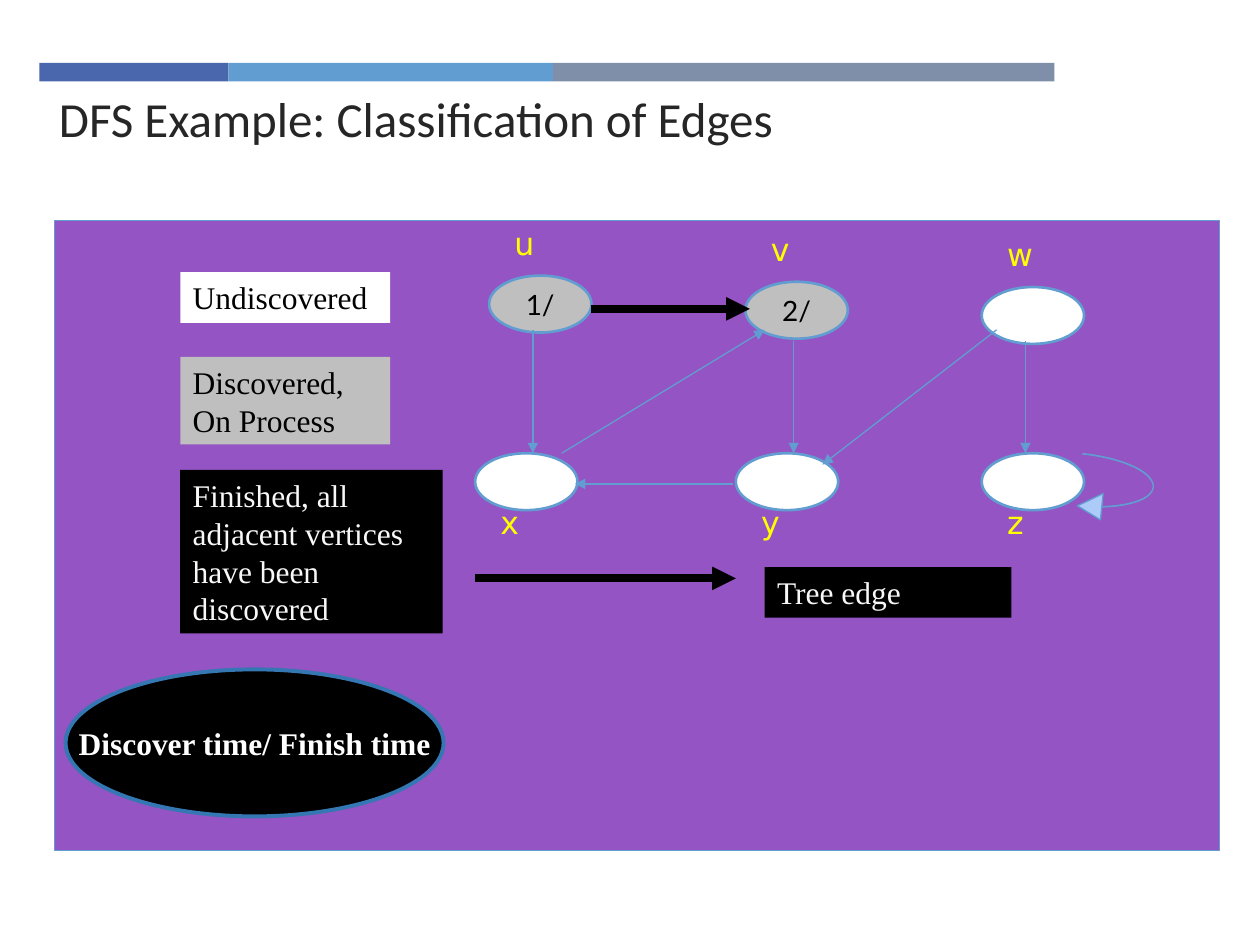
from dataclasses import dataclass

from lxml import etree
from pptx import Presentation
from pptx.dml.color import RGBColor
from pptx.enum.shapes import MSO_CONNECTOR, MSO_SHAPE
from pptx.enum.text import MSO_ANCHOR, MSO_AUTO_SIZE, PP_ALIGN
from pptx.oxml.ns import qn
from pptx.util import Pt

RECTANGLE = MSO_SHAPE.RECTANGLE
ELLIPSE = MSO_SHAPE.OVAL
CURVED_ARROW = MSO_SHAPE.CURVED_DOWN_ARROW
STRAIGHT = MSO_CONNECTOR.STRAIGHT
TOP, MIDDLE = MSO_ANCHOR.TOP, MSO_ANCHOR.MIDDLE
LEFT, CENTER = PP_ALIGN.LEFT, PP_ALIGN.CENTER
NO_AUTOFIT = MSO_AUTO_SIZE.NONE

BLACK = RGBColor(0x00, 0x00, 0x00)
WHITE = RGBColor(0xFF, 0xFF, 0xFF)
OFF_WHITE = RGBColor(0xF8, 0xF8, 0xF8)
GRAY = RGBColor(0xBF, 0xBF, 0xBF)
CHARCOAL = RGBColor(0x26, 0x26, 0x26)
YELLOW = RGBColor(0xFF, 0xFF, 0x00)
PURPLE = RGBColor(0x94, 0x54, 0xC3)
INDIGO = RGBColor(0x4A, 0x66, 0xAC)
SKY = RGBColor(0x62, 0x9D, 0xD1)
SLATE = RGBColor(0x7F, 0x8F, 0xA9)
PALE_BLUE = RGBColor(0xAC, 0xCB, 0xF9)
DEEP_BLUE = RGBColor(0x34, 0x77, 0xB2)

NODE_WIDTH, NODE_HEIGHT = 58.5, 32.5
LABEL_HEIGHT = 29
LABEL_ABOVE, LABEL_BELOW = -33, 25


@dataclass(frozen=True)
class Vertex:
    name: str
    left: float
    top: float
    label_offset: float
    fill: RGBColor = WHITE
    times: str = ""


@dataclass(frozen=True)
class Edge:
    x1: float
    y1: float
    x2: float
    y2: float
    color: RGBColor = SKY
    weight: float = 0.75


@dataclass(frozen=True)
class Caption:
    words: str
    left: float
    top: float
    width: float
    height: float
    fill: RGBColor
    color: RGBColor


BANDS = [(22.5, 108, INDIGO), (130.5, 185.5, SKY), (316, 286.5, SLATE)]

VERTICES = [
    Vertex("x", 271.5, 259, LABEL_BELOW),
    Vertex("z", 561, 259, LABEL_BELOW),
    Vertex("y", 420.5, 259, LABEL_BELOW),
    Vertex("w", 561, 164, LABEL_ABOVE),
    Vertex("v", 426, 161, LABEL_ABOVE, GRAY, "2/"),
    Vertex("u", 279.5, 157.5, LABEL_ABOVE, GRAY, "1/"),
]

EDGES = [
    Edge(337.5, 176.5, 428.5, 176.5, BLACK, 4.5),
    Edge(419, 276.5, 328.5, 276.5),
    Edge(453.5, 195, 453.5, 259),
    Edge(304.5, 188.5, 304.5, 259),
    Edge(586, 195, 586, 259),
    Edge(569.5, 188.5, 470, 265.5),
    Edge(321, 259, 437, 188.5),
    Edge(271.5, 330.5, 420.5, 330.5, BLACK, 4.5),
]

CAPTIONS = [
    Caption("Tree edge", 437, 324, 141, 29, BLACK, OFF_WHITE),
    Caption("Undiscovered", 103, 155.5, 120, 29, WHITE, BLACK),
    Caption("Discovered, On Process", 103, 204, 120, 50, GRAY, BLACK),
    Caption("Finished, all adjacent vertices have been discovered",
            103, 268.5, 150, 93.5, BLACK, OFF_WHITE),
]


def write(shape, words: str, *, font: str, size: float, color: RGBColor,
          bold: bool = False, align=LEFT, anchor=TOP, wrap: bool = True,
          inset: float = 7.2) -> None:
    frame = shape.text_frame
    frame.auto_size = NO_AUTOFIT
    frame.word_wrap = wrap
    frame.vertical_anchor = anchor
    frame.margin_left = Pt(inset)
    paragraph = frame.paragraphs[0]
    paragraph.alignment = align
    run = paragraph.add_run()
    run.text = words
    run.font.name = font
    run.font.size = Pt(size)
    run.font.bold = bold
    run.font.color.rgb = color


def draw_shape(slide, kind, left: float, top: float, width: float, height: float,
               fill: RGBColor, outline: RGBColor | None = None, weight: float = 0.75):
    shape = slide.shapes.add_shape(kind, Pt(left), Pt(top), Pt(width), Pt(height))
    shape.shadow.inherit = False
    shape.fill.solid()
    shape.fill.fore_color.rgb = fill
    if outline is None:
        shape.line.fill.background()
    else:
        shape.line.color.rgb = outline
        shape.line.width = Pt(weight)
    return shape


def draw_vertex(slide, vertex: Vertex) -> None:
    node = draw_shape(slide, ELLIPSE, vertex.left, vertex.top,
                      NODE_WIDTH, NODE_HEIGHT, vertex.fill, SKY, 1.5)
    if vertex.times:
        write(node, vertex.times, font="Lato", size=16, color=BLACK,
              align=CENTER, anchor=MIDDLE, wrap=False)
    label = slide.shapes.add_textbox(
        Pt(vertex.left + 1.5), Pt(vertex.top + vertex.label_offset),
        Pt(NODE_WIDTH), Pt(LABEL_HEIGHT))
    write(label, vertex.name, font="DejaVu Sans", size=18, color=YELLOW, inset=13)


def draw_edge(slide, edge: Edge) -> None:
    arrow = slide.shapes.add_connector(
        STRAIGHT, Pt(edge.x1), Pt(edge.y1), Pt(edge.x2), Pt(edge.y2))
    arrow.line.color.rgb = edge.color
    arrow.line.width = Pt(edge.weight)
    etree.SubElement(arrow.line._get_or_add_ln(), qn("a:tailEnd"), type="triangle")
    etree.SubElement(arrow._element.spPr, qn("a:effectLst"))


def draw_caption(slide, caption: Caption) -> None:
    box = draw_shape(slide, RECTANGLE, caption.left, caption.top,
                     caption.width, caption.height, caption.fill)
    write(box, caption.words, font="Times New Roman", size=18, color=caption.color)


def main() -> None:
    deck = Presentation()
    deck.slide_width, deck.slide_height = Pt(720), Pt(540)
    slide = deck.slides.add_slide(deck.slide_layouts[5])

    title = slide.shapes.title
    title.left, title.top, title.width, title.height = Pt(26.5), Pt(47), Pt(576), Pt(39)
    write(title, "DFS Example: Classification of Edges",
          font="Calibri", size=28, color=CHARCOAL)

    for left, width, fill in BANDS:
        draw_shape(slide, RECTANGLE, left, 36, width, 10.5, fill)
    draw_shape(slide, RECTANGLE, 31, 126, 666, 360, PURPLE, SKY)

    self_loop = draw_shape(slide, CURVED_ARROW, 619, 259, 37.5, 42, PALE_BLUE, SKY)
    self_loop.rotation = 95.8
    for index, amount in enumerate((0.006, 0.402, 0.369)):
        self_loop.adjustments[index] = amount

    for vertex in VERTICES:
        draw_vertex(slide, vertex)
    for edge in EDGES:
        draw_edge(slide, edge)
    for caption in CAPTIONS:
        draw_caption(slide, caption)

    times_key = draw_shape(slide, ELLIPSE, 37.5, 382.5, 216, 84, BLACK, DEEP_BLUE, 2.25)
    write(times_key, "Discover time/ Finish time", font="Times New Roman", size=18,
          color=WHITE, bold=True, align=CENTER, anchor=MIDDLE, wrap=False)

    deck.save("out.pptx")


if __name__ == "__main__":
    main()
